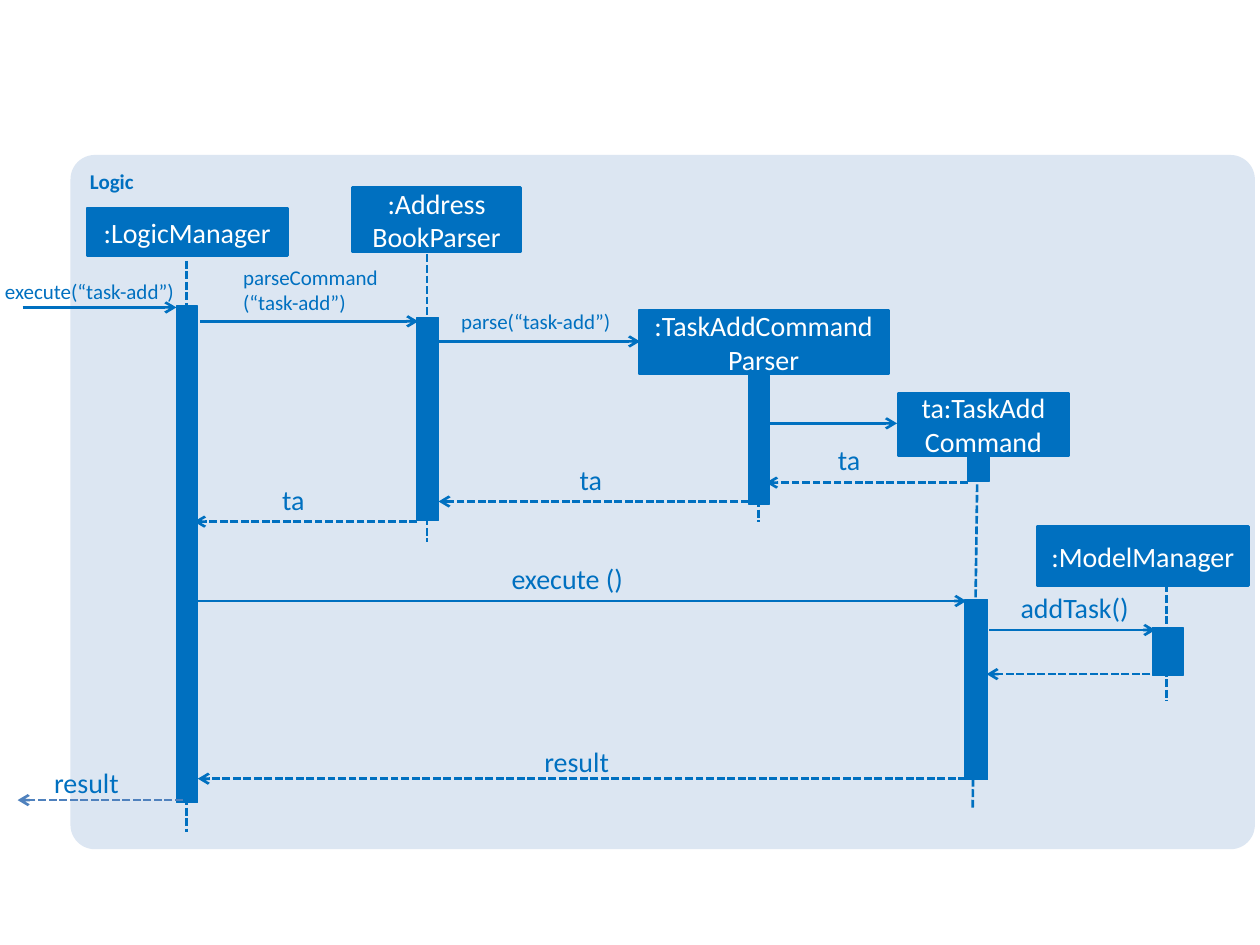
import pptx
import pptx.dml.color
import pptx.enum.dml
import pptx.enum.shapes
import pptx.enum.text
import pptx.oxml
import pptx.oxml.ns
import pptx.util
from pptx.util import Inches

RGBColor = pptx.dml.color.RGBColor
ALIGN = pptx.enum.text.PP_ALIGN
ANCHOR = pptx.enum.text.MSO_ANCHOR
SHAPE = pptx.enum.shapes.MSO_SHAPE

LOGIC_BLUE = RGBColor(0x00, 0x70, 0xC0)
RESULT_BLUE = RGBColor(0x4F, 0x81, 0xBD)
PANEL_BLUE = RGBColor(0xDC, 0xE6, 0xF2)
WHITE = RGBColor(0xFF, 0xFF, 0xFF)

# Lifelines: x and y at the start, then at the end
LIFELINES = [
    (1.48, 2.07, 1.48, 6.6),
    (3.39, 2.02, 3.39, 4.3),
    (6.02, 2.96, 6.02, 4.14),
    (7.76, 3.51, 7.72, 6.41),
    (9.26, 4.64, 9.26, 5.56),
]

# Activation bars: left, top, width, height
ACTIVATIONS = [
    (1.4, 2.43, 0.17, 3.94),
    (3.31, 2.52, 0.17, 1.61),
    (5.94, 2.98, 0.17, 1.02),
    (7.68, 3.51, 0.17, 0.31),
    (7.66, 4.76, 0.18, 1.43),
    (9.15, 4.98, 0.24, 0.38),
]

# Participants: text, left, top, width, height
PARTICIPANTS = [
    (":LogicManager", 0.69, 1.65, 1.59, 0.38),
    (":Address\nBookParser", 2.8, 1.49, 1.33, 0.51),
    (":TaskAddCommandParser", 5.07, 2.46, 1.98, 0.51),
    ("ta:TaskAdd\vCommand", 7.13, 3.12, 1.35, 0.5),
    (":ModelManager", 8.23, 4.18, 1.68, 0.47),
]

# Calls run left to right: caller x, receiver x, y
CALLS = [
    (0.18, 1.4, 2.44),
    (1.59, 3.32, 2.55),
    (3.45, 5.08, 2.71),
    (6.1, 7.12, 3.36),
    (1.57, 7.67, 4.77),
    (7.85, 9.17, 5),
]

# Returns run right to left: sender x, receiver x, y, colour
RETURNS = [
    (7.68, 6.08, 3.83, LOGIC_BLUE),
    (5.94, 3.48, 3.98, LOGIC_BLUE),
    (3.31, 1.54, 4.14, LOGIC_BLUE),
    (9.13, 7.83, 5.35, LOGIC_BLUE),
    (7.67, 1.57, 6.18, LOGIC_BLUE),
    (1.45, 0.14, 6.35, RESULT_BLUE),
]

# Message labels: text, left, top, width, height, size, alignment
LABELS = [
    ("execute(“task-add”)", -0.04, 2.21, 1.42, 0.2, 12, ALIGN.RIGHT),
    ("parseCommand(“task-add”)", 1.93, 2.1, 1.1, 0.4, 12, ALIGN.LEFT),
    ("parse(“task-add”)", 3.66, 2.45, 1.26, 0.2, 12, ALIGN.LEFT),
    ("ta", 6.65, 3.51, 0.24, 0.27, 16, ALIGN.LEFT),
    ("ta", 4.6, 3.67, 0.24, 0.27, 16, ALIGN.LEFT),
    ("ta", 2.24, 3.83, 0.24, 0.27, 16, ALIGN.LEFT),
    ("execute ()", 4.06, 4.46, 1.02, 0.27, 16, ALIGN.LEFT),
    ("addTask()", 8.1, 4.69, 0.92, 0.27, 16, ALIGN.LEFT),
    ("result", 4.32, 5.91, 0.68, 0.27, 16, ALIGN.LEFT),
    ("result", 0.43, 6.08, 0.64, 0.27, 16, ALIGN.LEFT),
]


def write_text(frame, text, size=16, color=LOGIC_BLUE, bold=False,
               align=ALIGN.LEFT, anchor=ANCHOR.TOP):
    """Fill a text frame with text in one format."""
    frame.word_wrap = True
    frame.vertical_anchor = anchor
    frame.text = text
    for paragraph in frame.paragraphs:
        paragraph.alignment = align
        for run in paragraph.runs:
            run.font.name = "Calibri"
            run.font.size = pptx.util.Pt(size)
            run.font.bold = bold
            run.font.color.rgb = color


def add_block(slide, box, fill=LOGIC_BLUE, line_width=0.75, kind=SHAPE.RECTANGLE):
    """Add a filled shape, outlined in its own colour if it has a line."""
    block = slide.shapes.add_shape(kind, *map(Inches, box))
    block.shadow.inherit = False
    block.fill.solid()
    block.fill.fore_color.rgb = fill
    if line_width:
        block.line.color.rgb = fill
        block.line.width = pptx.util.Pt(line_width)
    else:
        block.line.fill.background()
    return block


def add_panel(slide):
    """Add the rounded background of the Logic component."""
    panel = add_block(slide, (0.56, 1.23, 9.4, 5.51), fill=PANEL_BLUE,
                      line_width=0, kind=SHAPE.ROUNDED_RECTANGLE)
    panel.adjustments[0] = 0.035
    write_text(panel.text_frame, "Logic", size=12, bold=True)


def add_participant(slide, text, *box):
    """Add the named box at the head of a lifeline."""
    participant = add_block(slide, box, line_width=1.5)
    write_text(participant.text_frame, text, color=WHITE,
               align=ALIGN.CENTER, anchor=ANCHOR.MIDDLE)


def add_line(slide, points, color=LOGIC_BLUE, dashed=False, arrow=False):
    """Add a straight line, with an open arrowhead at its end if wanted."""
    line = slide.shapes.add_connector(
        pptx.enum.shapes.MSO_CONNECTOR.STRAIGHT, *map(Inches, points))
    line.line.color.rgb = color
    line.line.width = pptx.util.Pt(1.5)
    if dashed:
        line.line.dash_style = pptx.enum.dml.MSO_LINE.SQUARE_DOT
    if arrow:
        outline = line.line._get_or_add_ln()
        head = pptx.oxml.parse_xml(
            f'<a:tailEnd {pptx.oxml.ns.nsdecls("a")} type="arrow"/>')
        outline.append(head)
    line._element.spPr.append(pptx.oxml.parse_xml(
        f'<a:effectLst {pptx.oxml.ns.nsdecls("a")}/>'))


def add_label(slide, text, left, top, width, height, size, align):
    """Add a message label without margins."""
    box = map(Inches, (left, top, width, height))
    frame = slide.shapes.add_textbox(*box).text_frame
    frame.margin_left = frame.margin_right = 0
    frame.margin_top = frame.margin_bottom = 0
    frame.auto_size = pptx.enum.text.MSO_AUTO_SIZE.SHAPE_TO_FIT_TEXT
    write_text(frame, text, size=size, align=align)


def main():
    """Build the sequence diagram and save it."""
    deck = pptx.Presentation()
    deck.slide_width, deck.slide_height = Inches(10), Inches(7.5)
    slide = deck.slides.add_slide(deck.slide_layouts[6])

    add_panel(slide)
    for points in LIFELINES:
        add_line(slide, points, dashed=True)
    for box in ACTIVATIONS:
        add_block(slide, box)
    for participant in PARTICIPANTS:
        add_participant(slide, *participant)
    for caller, receiver, y in CALLS:
        add_line(slide, (caller, y, receiver, y), arrow=True)
    for sender, receiver, y, color in RETURNS:
        add_line(slide, (sender, y, receiver, y), color, dashed=True, arrow=True)
    for label in LABELS:
        add_label(slide, *label)

    deck.save("out.pptx")


main()
